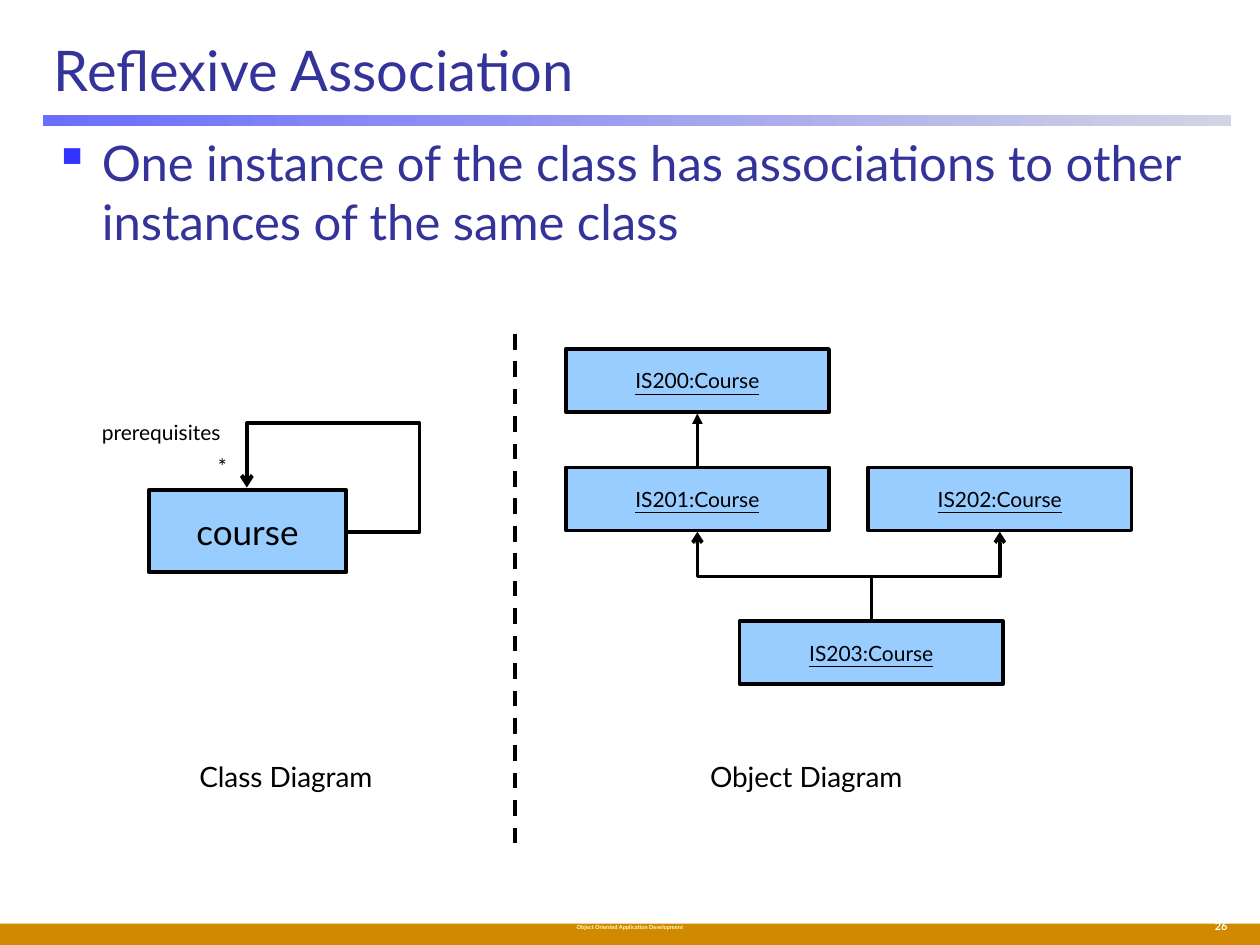
from dataclasses import dataclass

from lxml.etree import SubElement
from pptx import Presentation
from pptx.dml.color import RGBColor
from pptx.enum.dml import MSO_LINE
from pptx.enum.shapes import MSO_CONNECTOR, MSO_SHAPE
from pptx.enum.text import MSO_ANCHOR, PP_ALIGN
from pptx.oxml.ns import qn
from pptx.util import Inches, Pt


@dataclass(frozen=True)
class Theme:
    font: str = "Lato"
    ink: str = "000000"
    head: str = "333399"
    mark: str = "3333FF"
    box: str = "99CCFF"
    band: str = "D18A00"
    fade: tuple = ("6B6EFD", "D2D3E3")
    foot: str = "FFFFCC"
    page: str = "FFFFFF"
    title: float = 32
    body: float = 28
    name: float = 20
    label: float = 16
    small: float = 12
    number: float = 6.2
    tiny: float = 3.2
    thick: float = 2.25
    thin: float = 2


def cell(count):
    """Length of grid cells; the slide has 100 columns and 75 rows."""
    return Inches(count / 10)


def color(code):
    return RGBColor.from_string(code)


class Board:
    def __init__(self, deck, theme):
        self.theme = theme
        self.slide = deck.slides.add_slide(deck.slide_layouts[6])
        self.shapes = self.slide.shapes

    def letter(self, frame, words, size, ink, align, anchor, bold=None, line=None):
        frame.vertical_anchor = anchor
        par = frame.paragraphs[0]
        par.text = words
        par.alignment = align
        font = par.font
        font.name, font.size = self.theme.font, Pt(size)
        font.bold, font.underline = bold, line
        font.color.rgb = color(ink)

    def text(self, area, words, size, ink=None, align=PP_ALIGN.CENTER,
             anchor=MSO_ANCHOR.TOP, bold=None, bullet=None):
        frame = self.shapes.add_textbox(*map(cell, area)).text_frame
        frame.word_wrap = True
        if bullet:
            self.bullet(frame.paragraphs[0], bullet)
        self.letter(frame, words, size, ink or self.theme.ink, align, anchor, bold)

    def bullet(self, par, sign):
        props = par._p.get_or_add_pPr()
        props.set("marL", str(cell(3.8)))
        props.set("indent", str(cell(-3.8)))
        tint = SubElement(props, qn("a:buClr"))
        SubElement(tint, qn("a:srgbClr"), val=self.theme.mark)
        SubElement(props, qn("a:buChar"), char=sign)

    def bar(self, area, *tints):
        shape = self.shapes.add_shape(MSO_SHAPE.RECTANGLE, *map(cell, area))
        shape.shadow.inherit = False
        shape.line.fill.background()
        if len(tints) == 1:
            shape.fill.solid()
            shape.fill.fore_color.rgb = color(tints[0])
        else:
            shape.fill.gradient()
            shape.fill.gradient_angle = 0
            for stop, tint in zip(shape.fill.gradient_stops, tints):
                stop.color.rgb = color(tint)
        return shape

    def node(self, area, words, size, width, line=None):
        shape = self.bar(area, self.theme.box)
        shape.line.color.rgb = color(self.theme.ink)
        shape.line.width = Pt(width)
        shape.text_frame.word_wrap = False
        self.letter(shape.text_frame, words, size, self.theme.ink,
                    PP_ALIGN.CENTER, MSO_ANCHOR.MIDDLE, line=line)

    def line(self, start, end, width, head=None, dash=None, kind=MSO_CONNECTOR.STRAIGHT):
        link = self.shapes.add_connector(kind, *map(cell, (*start, *end)))
        link.line.color.rgb = color(self.theme.ink)
        link.line.width = Pt(width)
        if dash:
            link.line.dash_style = dash
        if head:
            SubElement(link.line._ln, qn("a:tailEnd"), type=head)
        SubElement(link._element.spPr, qn("a:effectLst"))
        return link

    def loop(self, start, end, width, right, top):
        """Leave sideways to column right, return over row top."""
        link = self.line(start, end, width, "arrow", kind=MSO_CONNECTOR.ELBOW)
        shape = link._element.spPr.find(qn("a:prstGeom"))
        shape.set("prst", "bentConnector4")
        turns = [(far - a) / (b - a) for far, a, b in zip((right, top), start, end)]
        for index, turn in enumerate(turns, 1):
            SubElement(shape.find(qn("a:avLst")), qn("a:gd"), name=f"adj{index}",
                       fmla=f"val {round(turn * 100000)}")

    def rise(self, start, end, width):
        """Elbow that goes up, across and up: a sideways one turned by 270 degrees."""
        (x1, y1), (x2, y2) = start, end
        midx, midy = (x1 + x2) / 2, (y1 + y2) / 2
        half, side = (y1 - y2) / 2, (x1 - x2) / 2
        link = self.line((midx - half, midy + side), (midx + half, midy - side),
                         width, "arrow", kind=MSO_CONNECTOR.ELBOW)
        link._element.spPr.find(qn("a:xfrm")).set("rot", str(270 * 60000))


def main():
    deck = Presentation()
    deck.slide_width, deck.slide_height = cell(100), cell(75)
    theme = Theme()
    board = Board(deck, theme)

    # Frame and footer
    board.bar((0, 73.3, 100, 1.7), theme.band)
    board.bar((3.4, 9.1, 94.3, 0.9), *theme.fade)
    board.text((84.2, 72.5, 14.2, 2.3), "26", theme.number, theme.page,
               PP_ALIGN.RIGHT, bold=True)
    board.text((30, 72.8, 40, 1.7), "Object Oriented Application Development",
               theme.tiny, theme.foot, bold=True)

    # Title and statement
    board.text((3.3, 1.7, 94.2, 7.5), "Reflexive Association", theme.title,
               theme.head, PP_ALIGN.LEFT, MSO_ANCHOR.MIDDLE)
    board.text((3.3, 10, 94.2, 60.8),
               "One instance of the class has associations to other "
               "instances of the same class",
               theme.body, theme.head, PP_ALIGN.LEFT, bullet="▪")

    # Class diagram
    board.node((11.8, 38.9, 15.7, 6.5), "course", theme.name, theme.thick)
    board.loop((27.6, 42.2), (19.6, 38.7), theme.thick, right=33.3, top=33.6)
    board.text((6.3, 32.8, 13, 3), "prerequisites", theme.small)
    board.text((16.1, 35.5, 3.1, 3), "*", theme.small)

    # Divider and captions
    board.line((40.9, 26.5), (40.9, 67.8), theme.thick, dash=MSO_LINE.DASH)
    for left, words in ((8.7, "Class Diagram"), (50, "Object Diagram")):
        board.text((left, 59.8, 28, 3.7), words, theme.label)

    # Object diagram
    wide, high = 20.9, 5
    spots = {"IS200": (44.9, 27.7), "IS201": (44.9, 37.1),
             "IS202": (68.9, 37.1), "IS203": (58.7, 49.3)}
    for name, spot in spots.items():
        board.node((*spot, wide, high), f"{name}:Course", theme.small,
                   theme.thin, line=True)
    tops = {name: (x + wide / 2, y) for name, (x, y) in spots.items()}
    feet = {name: (x, y + high + 0.1) for name, (x, y) in tops.items()}
    board.line(tops["IS201"], feet["IS200"], theme.thin, "triangle")
    for name in ("IS201", "IS202"):
        board.rise(tops["IS203"], feet[name], theme.thin)

    deck.save("out.pptx")


if __name__ == "__main__":
    main()
